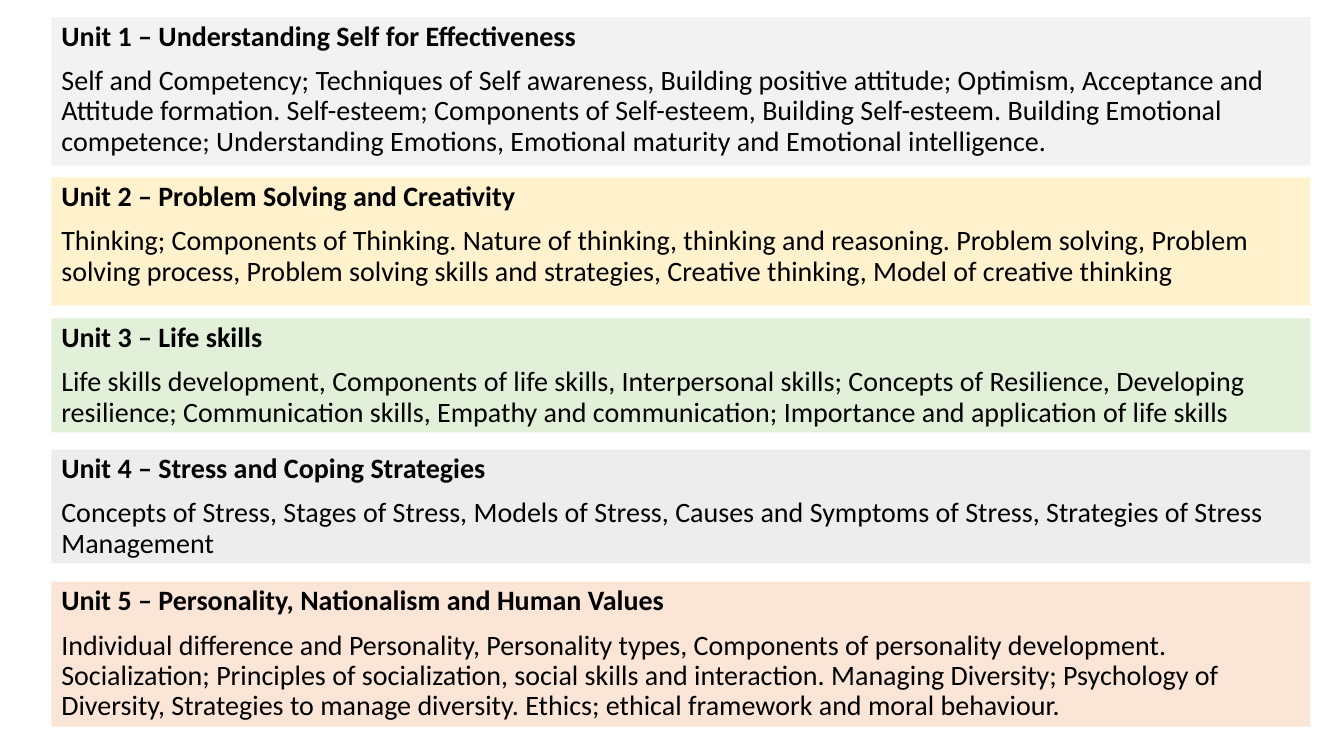
from dataclasses import dataclass

from lxml import etree
from pptx import Presentation
from pptx import util as u
from pptx.dml.color import RGBColor
from pptx.enum import text
from pptx.oxml.ns import qn

GRID = u.Inches(0.1)  # one column or row of the slide grid
COLUMNS, ROWS = 133.33, 75
LEFT_COLUMN, UNIT_COLUMNS = 5.1, 124.9


@dataclass(frozen=True)
class Unit:
    heading: str
    topics: str
    top_row: float
    rows: float
    fill: str


UNITS = [
    Unit("Unit 1 – Understanding Self for Effectiveness",
         "Self and Competency; Techniques of Self awareness, Building positive attitude; "
         "Optimism, Acceptance and Attitude formation. Self-esteem; Components of "
         "Self-esteem, Building Self-esteem. Building Emotional competence; "
         "Understanding Emotions, Emotional maturity and Emotional intelligence.",
         1.7, 14.7, "F2F2F2"),
    Unit("Unit 2 – Problem Solving and Creativity",
         "Thinking; Components of Thinking. Nature of thinking, thinking and reasoning. "
         "Problem solving, Problem solving process, Problem solving skills and "
         "strategies, Creative thinking, Model of creative thinking",
         17.6, 12.7, "FFF2CC"),
    Unit("Unit 3 – Life skills",
         "Life skills development, Components of life skills, Interpersonal skills; "
         "Concepts of Resilience, Developing resilience; Communication skills, Empathy "
         "and communication; Importance and application of life skills",
         31.6, 11.3, "E2F0D9"),
    Unit("Unit 4 – Stress and Coping Strategies",
         "Concepts of Stress, Stages of Stress, Models of Stress, Causes and Symptoms "
         "of Stress, Strategies of Stress Management",
         44.6, 11.3, "EDEDED"),
    Unit("Unit 5 – Personality, Nationalism and Human Values",
         "Individual difference and Personality, Personality types, Components of "
         "personality development. Socialization; Principles of socialization, social "
         "skills and interaction. Managing Diversity; Psychology of Diversity, "
         "Strategies to manage diversity. Ethics; ethical framework and moral behaviour.",
         57.7, 14.4, "FBE5D6"),
]


def color(hex_value: str) -> RGBColor:
    return RGBColor.from_string(hex_value)


def cells(count: float) -> u.Emu:
    return u.Emu(round(count * GRID))


def format_paragraph(paragraph, bold: bool, space_before: float) -> None:
    properties = paragraph._p.get_or_add_pPr()
    properties.set("marL", "0")
    properties.set("indent", "0")
    etree.SubElement(properties, qn("a:buNone"))
    paragraph.alignment = text.PP_ALIGN.LEFT
    paragraph.line_spacing = 0.9
    paragraph.space_before = u.Pt(space_before)
    for run in paragraph.runs:
        run.font.name = "Calibri"
        run.font.size = u.Pt(20)
        run.font.bold = bold
        run.font.color.rgb = color("000000")


def fill_panel(panel, unit: Unit) -> None:
    """Place one unit's panel and write its heading and topics."""
    panel.left, panel.top = cells(LEFT_COLUMN), cells(unit.top_row)
    panel.width, panel.height = cells(UNIT_COLUMNS), cells(unit.rows)
    panel.fill.solid()
    panel.fill.fore_color.rgb = color(unit.fill)
    frame = panel.text_frame
    frame.word_wrap = True
    frame.auto_size = text.MSO_AUTO_SIZE.NONE
    frame.vertical_anchor = text.MSO_ANCHOR.TOP
    frame.text = f"{unit.heading}\n{unit.topics}"
    heading, topics = frame.paragraphs
    format_paragraph(heading, bold=True, space_before=0)
    format_paragraph(topics, bold=False, space_before=10)


def main() -> None:
    deck = Presentation()
    deck.slide_width, deck.slide_height = cells(COLUMNS), cells(ROWS)
    slide = deck.slides.add_slide(deck.slide_layouts.get_by_name("Title and Content"))
    empty_title = slide.shapes.title.element
    empty_title.getparent().remove(empty_title)

    first_unit, *other_units = UNITS
    fill_panel(slide.placeholders[1], first_unit)
    for unit in other_units:
        fill_panel(slide.shapes.add_textbox(0, 0, GRID, GRID), unit)
    deck.save("out.pptx")


if __name__ == "__main__":
    main()
